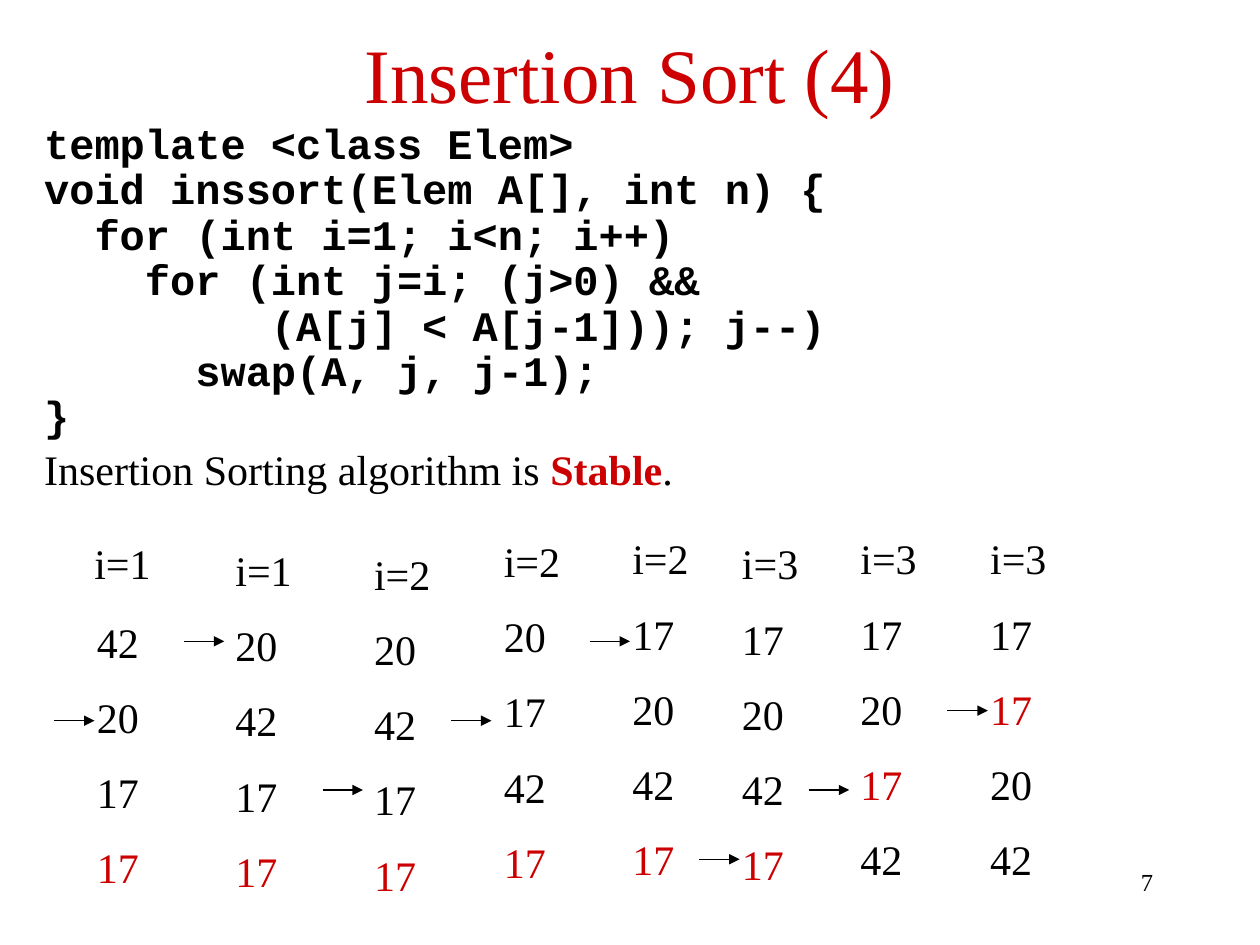
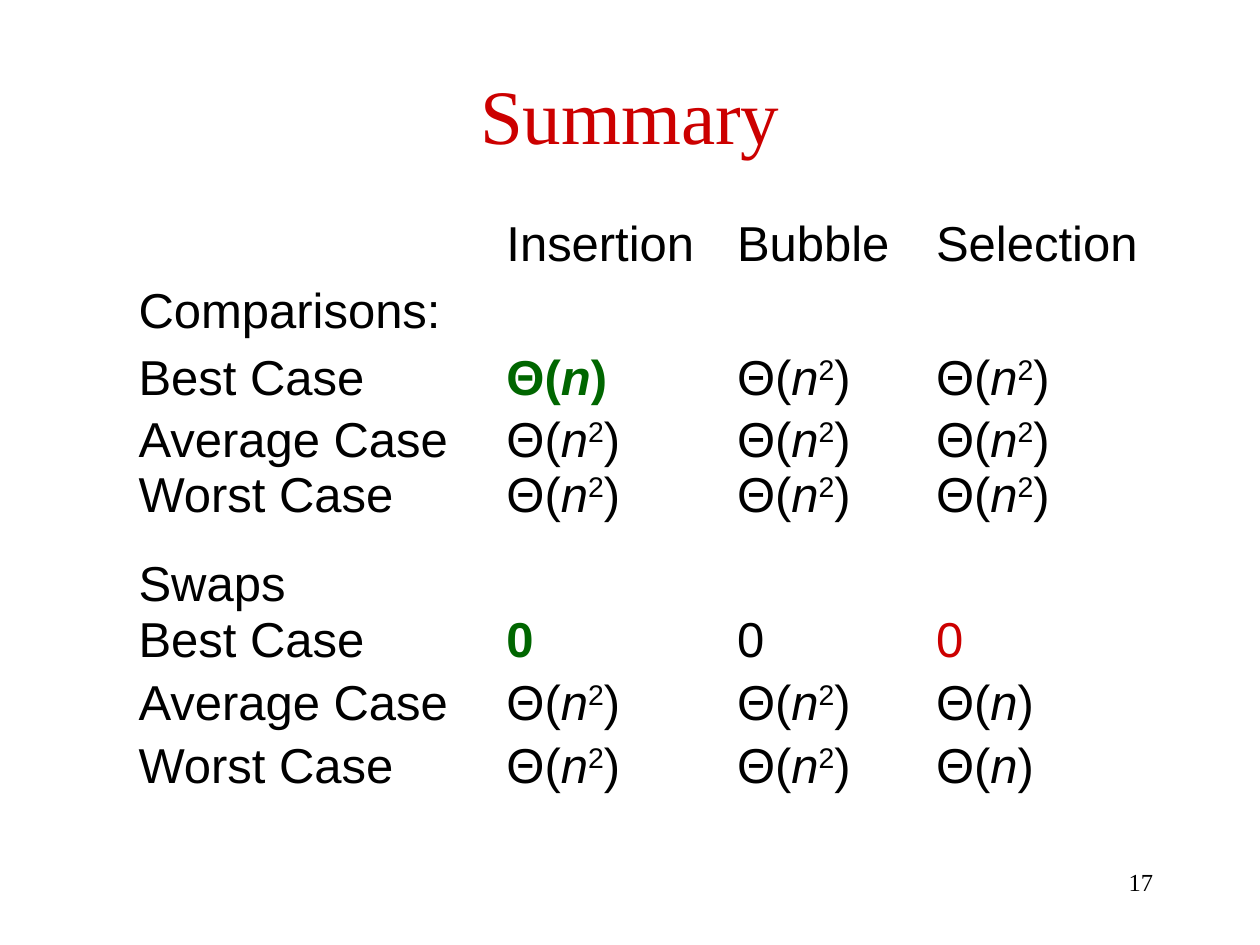
import pptx
import pptx.util
import pptx.dml.color
import pptx.enum.text
import pptx.enum.shapes
import pptx.oxml.ns
import lxml.etree

Inches = pptx.util.Inches
Pt = pptx.util.Pt
ALIGN = pptx.enum.text.PP_ALIGN
ANCHOR = pptx.enum.text.MSO_ANCHOR
AUTO_SIZE = pptx.enum.text.MSO_AUTO_SIZE

BLACK, RED, GREEN = "000000", "CC0000", "006600"
SERIF, SANS, MONO = "Times New Roman", "Arial", "Courier New"
TITLE_ONLY, TITLE_AND_BODY = 5, 1

CODE = [
    "template <class Elem>",
    "void inssort(Elem A[], int n) {",
    "  for (int i=1; i<n; i++)",
    "    for (int j=i; (j>0) &&",
    "         (A[j] < A[j-1])); j--)",
    "      swap(A, j, j-1);",
    "}",
]

STEP_COLUMNS = [
    (0.65, 4.22, ["i=1"], None),
    (0.67, 4.84, ["42", "20", "17", "17"], 3),
    (1.77, 4.27, ["i=1", "20", "42", "17", "17"], 4),
    (2.87, 4.3, ["i=2", "20", "42", "17", "17"], 4),
    (3.9, 4.2, ["i=2", "20", "17", "42", "17"], 4),
    (4.92, 4.18, ["i=2", "17", "20", "42", "17"], 4),
    (5.79, 4.22, ["i=3", "17", "20", "42", "17"], 4),
    (6.73, 4.18, ["i=3", "17", "20", "17", "42"], 3),
    (7.76, 4.18, ["i=3", "17", "17", "20", "42"], 2),
]

STEP_ARROWS = [
    (0.43, 5.72), (1.46, 5.09), (2.56, 6.27), (3.58, 5.72),
    (4.68, 5.09), (5.55, 6.82), (6.42, 6.27), (7.52, 5.64),
]

LINEAR = [("Θ(", {}), ("n", {"italic": True}), (")", {})]
SQUARED = LINEAR[:2] + [("2", {"superscript": True})] + LINEAR[2:]
ZERO = [("0", {})]


def plain(text):
    return [(text, {})]


def best(runs):
    return [(text, {**style, "color": GREEN, "bold": True}) for text, style in runs]


COST_ROWS = [
    (0.53, [[], plain("Insertion"), plain("Bubble"), plain("Selection")]),
    (0.53, [plain("Comparisons:"), [], [], []]),
    (0.49, [plain("Best Case"), best(LINEAR), SQUARED, SQUARED]),
    (0.44, [plain("Average Case"), SQUARED, SQUARED, SQUARED]),
    (0.49, [plain("Worst Case"), SQUARED, SQUARED, SQUARED]),
    (0.66, [plain("Swaps"), [], [], []]),
    (0.5, [plain("Best Case"), best(ZERO), ZERO, [("0", {"color": RED})]]),
    (0.5, [plain("Average Case"), SQUARED, SQUARED, LINEAR]),
    (0.49, [plain("Worst Case"), SQUARED, SQUARED, LINEAR]),
]
COST_WIDTHS = [2.92, 1.83, 1.58, 1.83]
SWAPS_ROW = 5


def rgb(value):
    return pptx.dml.color.RGBColor.from_string(value)


def add_run(paragraph, text, size, name=SERIF, color=BLACK, bold=False,
            italic=False, superscript=False):
    run = paragraph.add_run()
    run.text = text
    font = run.font
    font.size, font.name = Pt(size), name
    font.bold, font.italic = bold, italic
    font.color.rgb = rgb(color)
    if superscript:
        run._r.get_or_add_rPr().set("baseline", "30000")


def next_paragraph(frame, index, space_before):
    if index == 0:
        return frame.paragraphs[0]
    paragraph = frame.add_paragraph()
    paragraph.space_before = Pt(space_before)
    return paragraph


def place(shape, left, top, width, height):
    shape.left, shape.top = Inches(left), Inches(top)
    shape.width, shape.height = Inches(width), Inches(height)


def add_text_frame(slide, left, top, width, height):
    frame = slide.shapes.add_textbox(
        Inches(left), Inches(top), Inches(width), Inches(height)).text_frame
    frame.word_wrap = True
    return frame


def start_slide(deck, layout, title, title_top, number):
    slide = deck.slides.add_slide(deck.slide_layouts[layout])
    heading = slide.shapes.title
    place(heading, 0.5, title_top, 9, 1)
    frame = heading.text_frame
    frame.auto_size = AUTO_SIZE.NONE
    frame.vertical_anchor = ANCHOR.MIDDLE
    frame.paragraphs[0].alignment = ALIGN.CENTER
    add_run(frame.paragraphs[0], title, 44, color=RED)

    page = add_text_frame(slide, 7.17, 6.83, 2.08, 0.5).paragraphs[0]
    page.alignment = ALIGN.RIGHT
    add_run(page, number, 14)
    return slide


def hang_without_bullet(paragraph, indent):
    properties = paragraph._p.get_or_add_pPr()
    properties.set("marL", str(Inches(indent)))
    properties.set("indent", str(-Inches(indent)))
    lxml.etree.SubElement(properties, pptx.oxml.ns.qn("a:buNone"))


def add_code(slide, left, top, width, height):
    body = slide.placeholders[1]
    place(body, left, top, width, height)
    frame = body.text_frame
    frame.auto_size = AUTO_SIZE.NONE
    frame.vertical_anchor = ANCHOR.TOP
    for index, line in enumerate(CODE):
        paragraph = next_paragraph(frame, index, 5.8)
        if index == 0:
            paragraph.space_before = Pt(0)
        hang_without_bullet(paragraph, 0.38)
        paragraph.line_spacing = 0.7
        add_run(paragraph, line, 24, MONO, bold=True)
    remark = next_paragraph(frame, len(CODE), 5.8)
    hang_without_bullet(remark, 0.38)
    remark.line_spacing = 0.9
    add_run(remark, "Insertion Sorting algorithm is ", 24)
    add_run(remark, "Stable", 24, color=RED, bold=True)
    add_run(remark, ".", 24)


def add_step_column(slide, left, top, values, tracked):
    height = 0.5 if len(values) == 1 else 0.58 * len(values) + 0.59 - 0.5
    frame = add_text_frame(slide, left, top, 0.71, height)
    for index, value in enumerate(values):
        paragraph = next_paragraph(frame, index, 14.2)
        add_run(paragraph, value, 24, color=RED if index == tracked else BLACK)


def add_step_arrow(slide, left, top):
    arrow = slide.shapes.add_connector(
        pptx.enum.shapes.MSO_CONNECTOR.STRAIGHT,
        Inches(left), Inches(top), Inches(left + 0.32), Inches(top))
    arrow.line.color.rgb = rgb(BLACK)
    arrow.line.width = Pt(0.75)
    qn = pptx.oxml.ns.qn
    lxml.etree.SubElement(arrow.line._get_or_add_ln(), qn("a:tailEnd"), type="triangle")
    lxml.etree.SubElement(arrow._element.spPr, qn("a:effectLst"))


def add_cost_table(slide, left, top):
    heights = [height for height, _ in COST_ROWS]
    table = slide.shapes.add_table(
        len(COST_ROWS), len(COST_WIDTHS), Inches(left), Inches(top),
        Inches(sum(COST_WIDTHS)), Inches(sum(heights))).table
    table.first_row = table.horz_banding = False
    for column, width in zip(table.columns, COST_WIDTHS):
        column.width = Inches(width)
    for index, (height, entries) in enumerate(COST_ROWS):
        table.rows[index].height = Inches(height)
        for cell, runs in zip(table.rows[index].cells, entries):
            cell.fill.background()
            cell.margin_top = Inches(0.27 if index == SWAPS_ROW else 0.05)
            cell.margin_bottom = 0
            paragraph = cell.text_frame.paragraphs[0]
            paragraph.line_spacing = 0.8
            for text, style in runs:
                add_run(paragraph, text, 28, SANS, **style)


def build_insertion_sort(deck):
    slide = start_slide(deck, TITLE_AND_BODY, "Insertion Sort (4)", 0.08, "7")
    add_code(slide, 0.25, 0.99, 8.53, 3.7)
    for column in STEP_COLUMNS:
        add_step_column(slide, *column)
    for arrow in STEP_ARROWS:
        add_step_arrow(slide, *arrow)


def build_summary(deck):
    slide = start_slide(deck, TITLE_ONLY, "Summary", 0.4, "17")
    add_cost_table(slide, 1, 1.75)


def main():
    deck = pptx.Presentation()
    deck.slide_width, deck.slide_height = Inches(10), Inches(7.5)
    build_insertion_sort(deck)
    build_summary(deck)
    deck.save("out.pptx")


if __name__ == "__main__":
    main()
